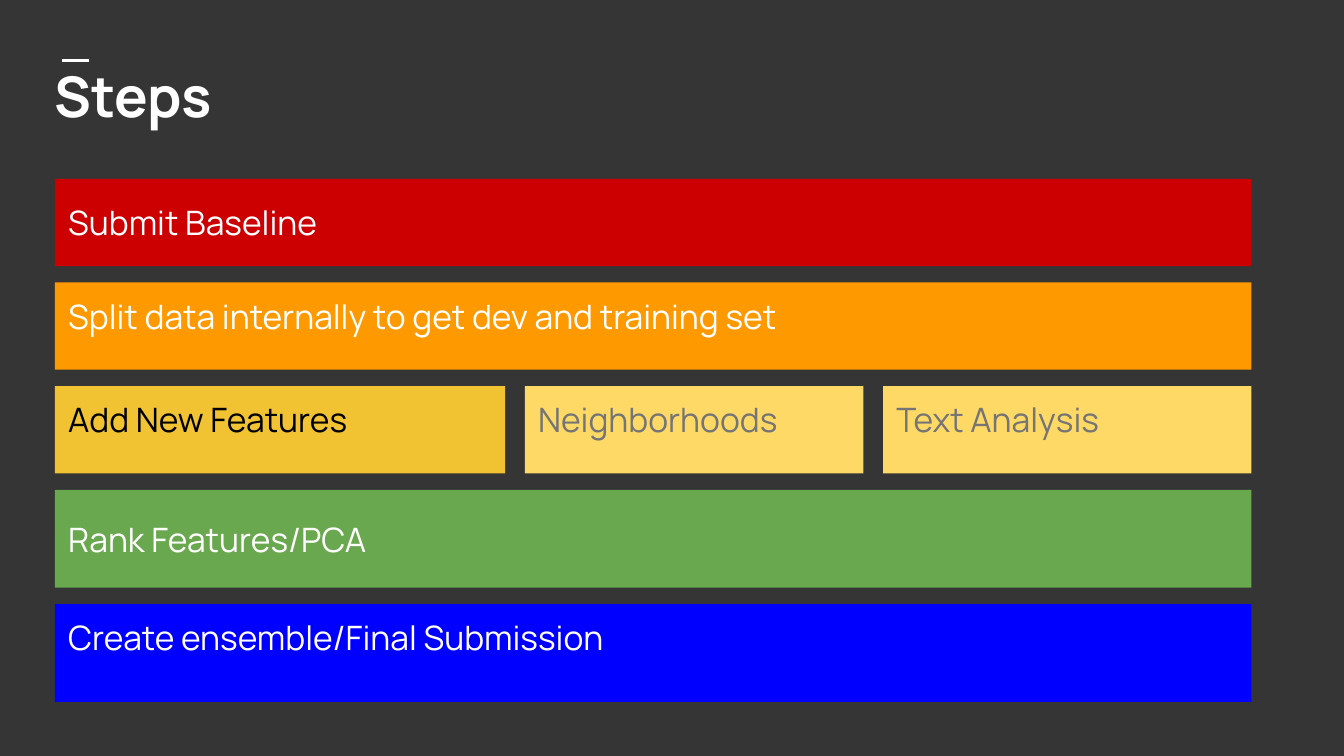
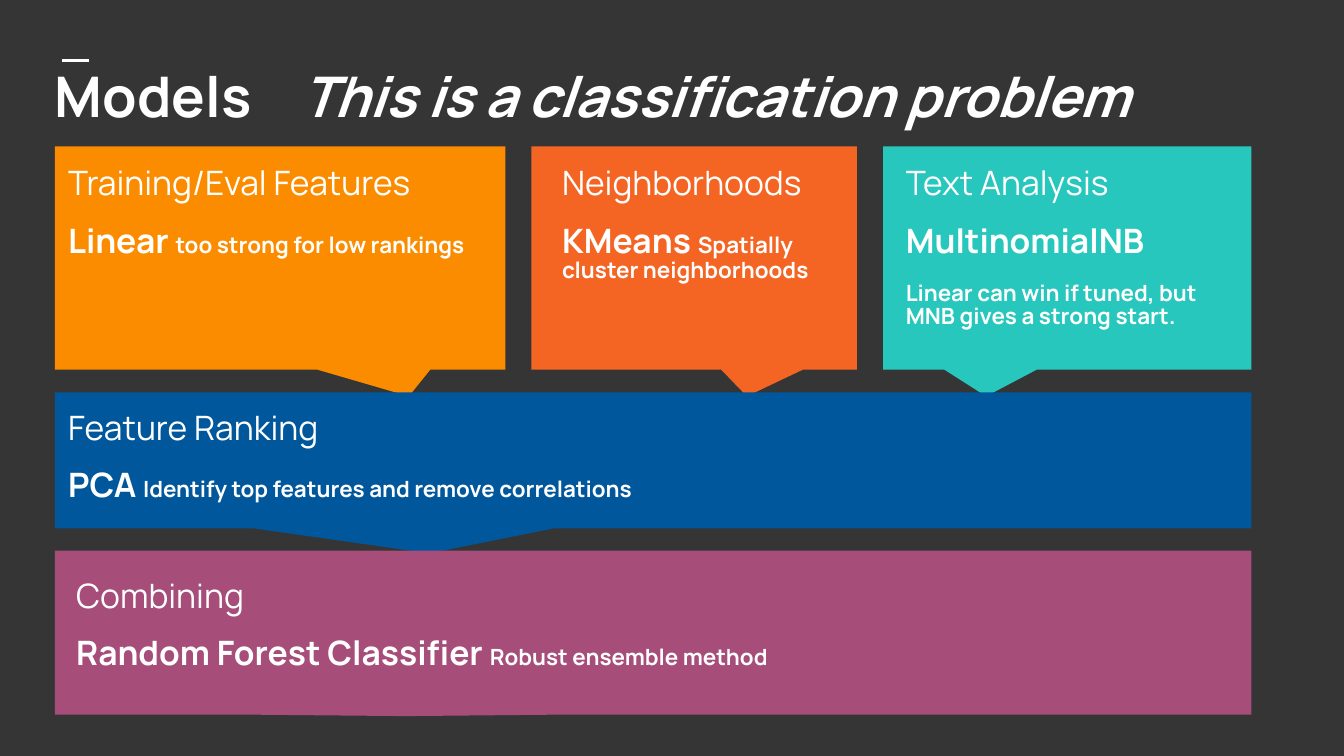
from dataclasses import dataclass

from lxml import etree
from pptx import Presentation
from pptx import util as u
from pptx.dml.color import RGBColor
from pptx.enum import shapes, text
from pptx.oxml import ns


@dataclass(frozen=True)
class Theme:
    font: str = "Manrope"
    bg: str = "353535"
    white: str = "FFFFFF"
    black: str = "000000"
    grey: str = "757575"
    red: str = "CC0000"
    amber: str = "FF9900"
    gold: str = "F1C232"
    pale_gold: str = "FFD966"
    green: str = "6AA84F"
    blue: str = "0000FF"
    orange: str = "FB8C00"
    coral: str = "F46524"
    teal: str = "27C7BD"
    navy: str = "01579B"
    plum: str = "A64D79"
    title_size: int = 30
    body_size: int = 18
    note_size: int = 12


T = Theme()
LEFT, WIDTH, INSET = 1.04, 22.61, 0.25
TOP, MIDDLE = text.MSO_ANCHOR.TOP, text.MSO_ANCHOR.MIDDLE


def box(*lengths):
    return [u.Cm(v) for v in lengths]


def columns(widths):
    gap = (WIDTH - sum(widths)) / (len(widths) - 1)
    x = LEFT
    for w in widths:
        yield x, w
        x += w + gap


def style_run(r, size, color=T.white, bold=False, italic=False):
    f = r.font
    f.name, f.size = T.font, u.Pt(size)
    f.bold, f.italic = bold, italic
    f.color.rgb = RGBColor.from_string(color)


def set_frame(sp, anchor=TOP):
    tf = sp.text_frame
    tf.word_wrap = True
    tf.vertical_anchor = anchor
    tf.margin_left = tf.margin_right = u.Cm(INSET)
    tf.margin_top = tf.margin_bottom = u.Cm(INSET)
    return tf


def add_block(s, kind, bounds, fill):
    sp = s.shapes.add_shape(kind, *box(*bounds))
    sp.shadow.inherit = False
    sp.fill.solid()
    sp.fill.fore_color.rgb = RGBColor.from_string(fill)
    sp.line.fill.background()
    return sp


def add_bar(s, bounds, label, fill, color=T.white, anchor=TOP):
    sp = add_block(s, shapes.MSO_SHAPE.RECTANGLE, bounds, fill)
    tf = set_frame(sp, anchor)
    tf.text = label
    p = tf.paragraphs[0]
    p.alignment = text.PP_ALIGN.LEFT
    style_run(p.runs[0], T.body_size, color)


def add_callout(s, bounds, fill, tip):
    sp = add_block(s, shapes.MSO_SHAPE.RECTANGULAR_CALLOUT, bounds, fill)
    sp.adjustments[0], sp.adjustments[1] = tip


def add_model_text(s, bounds, heading, model, note, note_below=False):
    tf = set_frame(s.shapes.add_textbox(*box(*bounds)))
    bold_runs = [(model, T.body_size, True)]
    note_run = (note, T.note_size, True)
    lines = [[(heading, T.body_size, False)], bold_runs]
    if note_below:
        lines.append([note_run])
    else:
        bold_runs.append(note_run)
    for i, line in enumerate(lines):
        p = tf.add_paragraph() if i else tf.paragraphs[0]
        p.space_after = u.Pt(12)
        p.line_spacing = 0.87
        for words, size, bold in line:
            r = p.add_run()
            r.text = words
            style_run(r, size, bold=bold)


def add_title(s, title, subtitle=None):
    tf = set_frame(s.shapes.add_textbox(*box(0.79, 0.91, 23.95, 2.84)))
    tf.text = title
    p = tf.paragraphs[0]
    style_run(p.runs[0], T.title_size, bold=True)
    if subtitle:
        tabs = etree.SubElement(p._p.get_or_add_pPr(), ns.qn("a:tabLst"))
        etree.SubElement(tabs, ns.qn("a:tab"), pos=str(u.Cm(4.65)), algn="l")
        r = p.add_run()
        r.text = "\t" + subtitle
        style_run(r, T.title_size, bold=True, italic=True)


def add_base(prs, title, subtitle=None):
    s = prs.slides.add_slide(prs.slide_layouts[6])
    s.background.fill.solid()
    s.background.fill.fore_color.rgb = RGBColor.from_string(T.bg)
    dash = s.shapes.add_connector(
        shapes.MSO_CONNECTOR.STRAIGHT, *box(1.18, 1.14, 1.69, 1.14))
    dash.line.color.rgb = RGBColor.from_string(T.white)
    dash.line.width = u.Pt(1.5)
    etree.SubElement(dash._element.spPr, ns.qn("a:effectLst"))
    add_title(s, title, subtitle)
    return s


def build_steps(prs):
    s = add_base(prs, "Steps")
    full, thirds = [WIDTH], [8.51, 6.4, 6.96]
    rows = [
        (1.65, full, [("Submit Baseline", T.red, T.white, MIDDLE)]),
        (1.65, full, [("Split data internally to get dev and training set", T.amber)]),
        (1.65, thirds, [("Add New Features", T.gold, T.black),
                        ("Neighborhoods", T.pale_gold, T.grey),
                        ("Text Analysis", T.pale_gold, T.grey)]),
        (1.85, full, [("Rank Features/PCA", T.green, T.white, MIDDLE)]),
        (1.85, full, [("Create ensemble/Final Submission", T.blue)]),
    ]
    y, gap = 3.38, 0.31
    for h, widths, bars in rows:
        cols = columns(widths) if len(widths) > 1 else [(LEFT, WIDTH)]
        for (x, w), bar in zip(cols, bars):
            add_bar(s, (x, y, w, h), *bar)
        y += h + gap


def build_models(prs):
    s = add_base(prs, "Models", "This is a classification problem")
    cards = [
        (T.orange, (0.286, 0.619), 0, 8.51,
         ("Training/Eval Features", "Linear ", "too strong for low rankings")),
        (T.coral, (0.162, 0.619), 0.33, 5.82,
         ("Neighborhoods", "KMeans ", "Spatially cluster neighborhoods")),
        (T.teal, (-0.22, 0.619), 0.18, 6.58,
         ("Text Analysis", "MultinomialNB",
          "Linear can win if tuned, but MNB gives a strong start.", True)),
    ]
    for (x, w), (fill, tip, dx, text_w, words) in zip(columns([8.51, 6.15, 6.96]), cards):
        add_callout(s, (x, 2.77, w, 4.22), fill, tip)
        add_model_text(s, (x + dx, 2.92, text_w, 3.76), *words)

    stages = [
        (7.42, 2.57, T.navy, (-0.187, 0.683), (LEFT, 7.54, WIDTH, 2.26),
         ("Feature Ranking", "PCA ", "Identify top features and remove correlations")),
        (10.41, 3.1, T.plum, (-0.207, 0.509), (1.19, 10.72, 21.64, 2.57),
         ("Combining", "Random Forest Classifier ", "Robust ensemble method")),
    ]
    for y, h, fill, tip, text_bounds, words in stages:
        add_callout(s, (LEFT, y, WIDTH, h), fill, tip)
        add_model_text(s, text_bounds, *words)


def main():
    prs = Presentation()
    prs.slide_width, prs.slide_height = box(25.4, 14.29)
    build_steps(prs)
    build_models(prs)
    prs.save("out.pptx")


if __name__ == "__main__":
    main()
